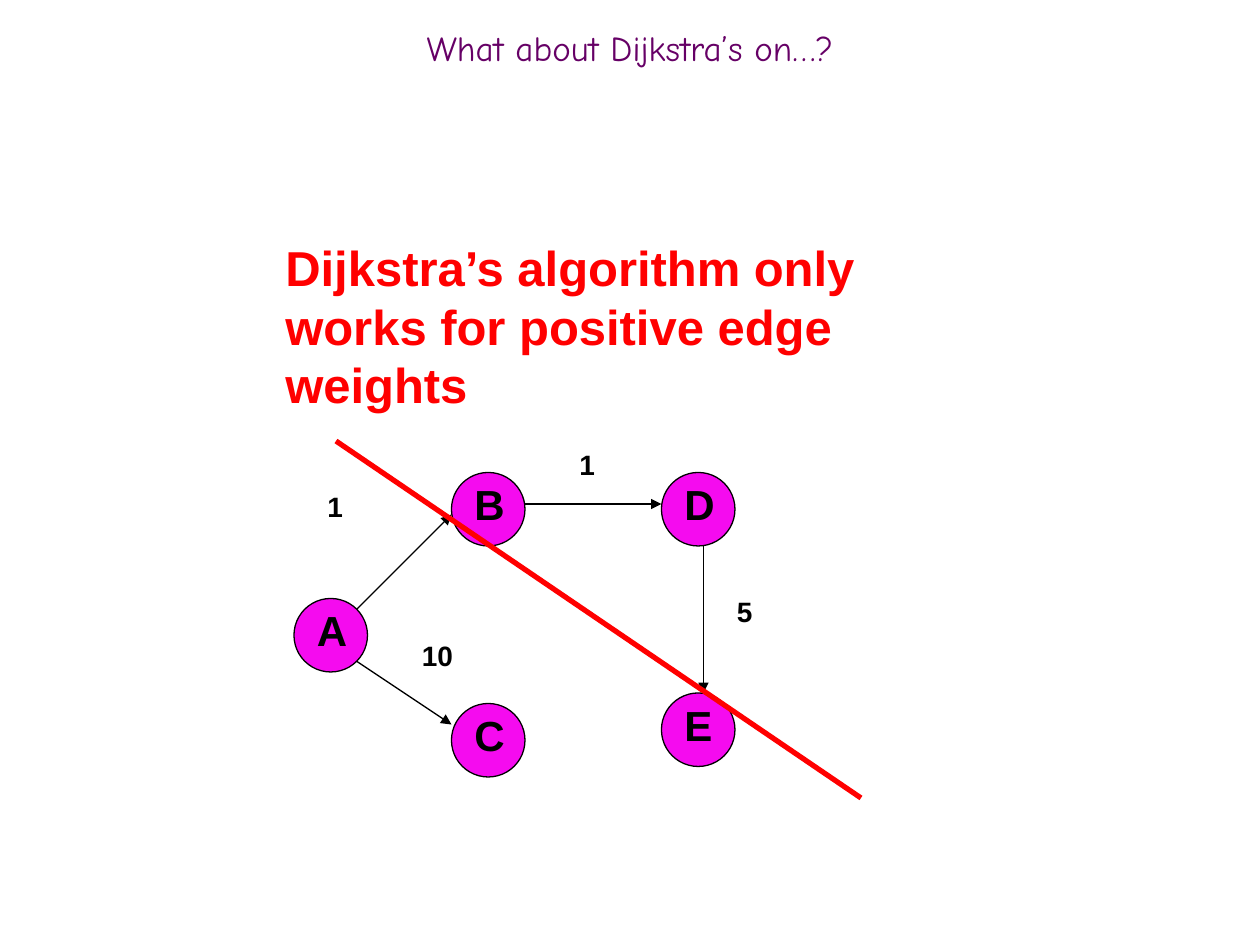
from lxml.etree import SubElement
from pptx import Presentation
from pptx.dml.color import RGBColor
from pptx.enum.shapes import MSO_CONNECTOR as Connector, MSO_SHAPE as Shape
from pptx.enum.text import MSO_ANCHOR as Anchor, MSO_AUTO_SIZE as AutoSize, PP_ALIGN as Align
from pptx.oxml.ns import qn
from pptx.util import Cm, Pt

TITLE = "What about Dijkstra’s on…?"
MESSAGE = "Dijkstra’s algorithm only works for positive edge weights"
NODES = [("A", 28, 57), ("B", 43, 45), ("C", 43, 67), ("E", 63, 66), ("D", 63, 45)]
EDGES = [
    ((34, 58), (43, 49)),
    ((34, 63), (43, 69)),
    ((50, 48), (63, 48)),
    ((67, 52), (67, 66)),
]
WEIGHTS = [("1", 30, 46), ("1", 54, 42), ("5", 69, 56), ("10", 39, 60.2)]
STRIKE = ((32, 42), (82, 76))

BLACK, RED, MAGENTA, PURPLE = "000000", "FF0000", "F50BEF", "660066"
UNIT = 2.54 / 12
NODE_SIZE = 7


def grid(*values):
    return [Cm(value * UNIT) for value in values]


def paint(target, color):
    target.rgb = RGBColor.from_string(color)


def write(box, text, size, color, font="Arial", bold=True):
    para = box.text_frame.paragraphs[0]
    span = para.add_run()
    span.text = text
    span.font.name = font
    span.font.size = Pt(size)
    span.font.bold = bold
    paint(span.font.color, color)
    return para


def add_text(shapes, text, place, size, color=BLACK):
    box = shapes.add_textbox(*grid(*place))
    box.text_frame.word_wrap = True
    box.text_frame.auto_size = AutoSize.SHAPE_TO_FIT_TEXT
    write(box, text, size, color)


def add_node(shapes, name, left, top):
    group = shapes.add_group_shape()
    circle = group.shapes.add_shape(Shape.OVAL, *grid(left, top, NODE_SIZE, NODE_SIZE))
    circle.shadow.inherit = False
    circle.fill.solid()
    paint(circle.fill.fore_color, MAGENTA)
    paint(circle.line.color, BLACK)
    circle.line.width = Pt(0.75)
    add_text(group.shapes, name, (left + 1, top, 6, 6), 24)


def add_line(shapes, start, end, color, width, arrow=False):
    line = shapes.add_connector(Connector.STRAIGHT, *grid(*start, *end))
    paint(line.line.color, color)
    line.line.width = Pt(width)
    properties = line._element.spPr
    if arrow:
        SubElement(properties.find(qn("a:ln")), qn("a:tailEnd"), type="triangle")
    SubElement(properties, qn("a:effectLst"))


def main():
    deck = Presentation()
    deck.slide_width, deck.slide_height = grid(120, 90)
    page = deck.slides.add_slide(deck.slide_layouts[5])
    shapes = page.shapes

    title = shapes.title
    title.left, title.top, title.width, title.height = grid(0, 2, 120, 6)
    title.text_frame.vertical_anchor = Anchor.MIDDLE
    title.text_frame.auto_size = AutoSize.NONE
    para = write(title, TITLE, 20, PURPLE, "Comic Neue", False)
    para.alignment = Align.CENTER
    para.line_spacing = 0.7

    for name, left, top in NODES:
        add_node(shapes, name, left, top)
    for start, end in EDGES:
        add_line(shapes, start, end, BLACK, 0.75, arrow=True)
    for weight, left, top in WEIGHTS:
        add_text(shapes, weight, (left, top, 9, 4.4), 16)
    add_line(shapes, *STRIKE, RED, 3)
    add_text(shapes, MESSAGE, (26, 22, 66, 18), 28, RED)

    deck.save("out.pptx")


if __name__ == "__main__":
    main()
